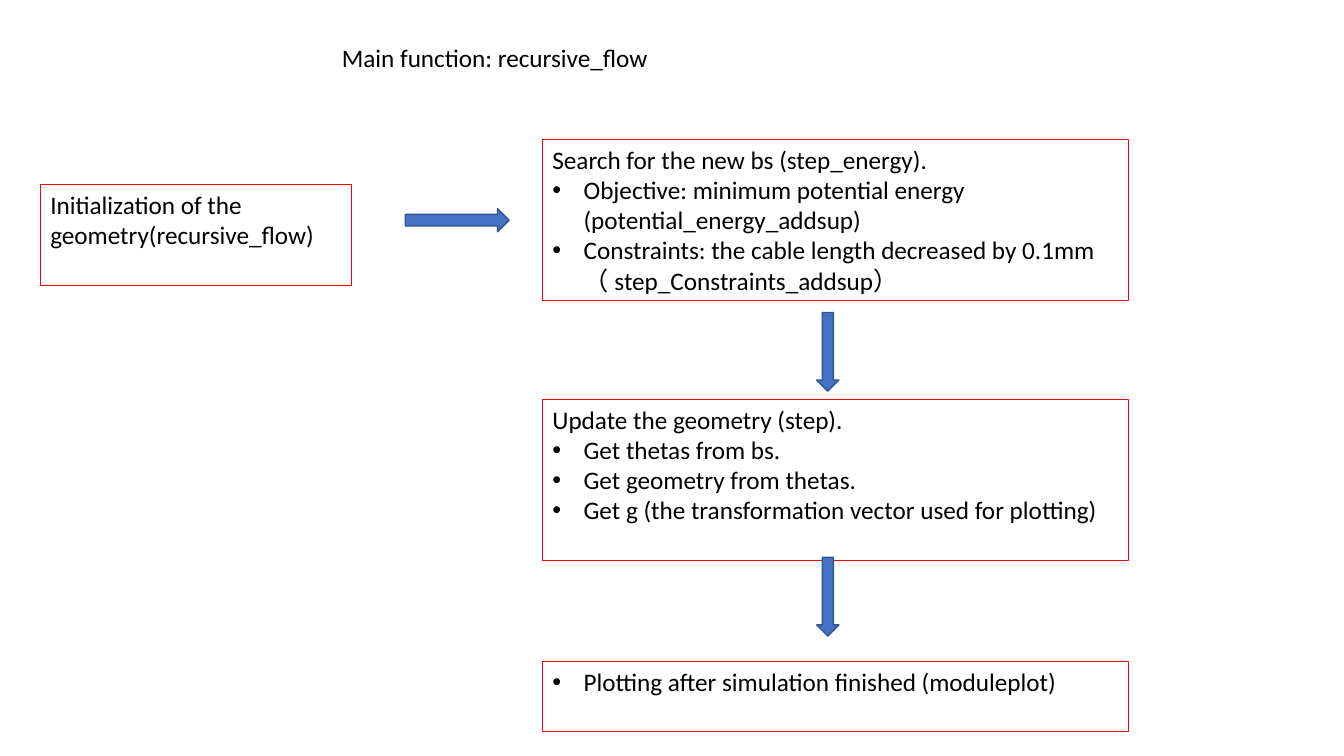
from lxml import etree
from pptx import Presentation, util as u
from pptx.dml.color import RGBColor
from pptx.enum import shapes, text
from pptx.oxml import ns

COLUMNS, ROWS = 133.3, 75
FLOW_LEFT, FLOW_WIDTH = 53.8, 58.1
DOWN_LEFT, DOWN_WIDTH, DOWN_HEIGHT = 81, 2.2, 7.8


def colour(code):
    return RGBColor.from_string(code)


def write(para, words, size=18, font="Calibri", ink="000000"):
    span = para.add_run()
    span.text = words
    span.font.size = u.Pt(size)
    span.font.name = font
    span.font.color.rgb = colour(ink)


class FlowPage:
    """Draw a flow chart on a slide with a grid of tenth-inch cells."""

    def __init__(self, deck, border="FF0000", arrow_fill="4472C4", arrow_line="325490"):
        self.cell = (deck.slide_width / COLUMNS, deck.slide_height / ROWS)
        self.border, self.arrow_fill, self.arrow_line = border, arrow_fill, arrow_line
        self.page = deck.slides.add_slide(deck.slide_layouts[5])

    def place(self, left, top, width, height):
        across, down = self.cell
        return [u.Emu(round(size * unit)) for size, unit in
                zip((left, top, width, height), (across, down, across, down))]

    def prepare(self, frame):
        frame.word_wrap = True
        frame.auto_size = text.MSO_AUTO_SIZE.NONE
        frame.vertical_anchor = text.MSO_ANCHOR.TOP

    def title(self, words, *area):
        box = self.page.shapes.title
        box.left, box.top, box.width, box.height = self.place(*area)
        self.prepare(box.text_frame)
        para = box.text_frame.paragraphs[0]
        para.alignment = text.PP_ALIGN.LEFT
        write(para, words)

    def bullet(self, para, indent=0.31):
        properties = para._p.get_or_add_pPr()
        properties.set("marL", str(u.Inches(indent)))
        properties.set("indent", str(-u.Inches(indent)))
        etree.SubElement(properties, ns.qn("a:buFont"), typeface="Arial")
        etree.SubElement(properties, ns.qn("a:buChar"), char="•")

    def step(self, area, heading=None, bullets=()):
        box = self.page.shapes.add_shape(shapes.MSO_SHAPE.RECTANGLE, *self.place(*area))
        box.shadow.inherit = False
        box.fill.background()
        box.line.color.rgb = colour(self.border)
        box.line.width = u.Pt(0)
        frame = box.text_frame
        self.prepare(frame)
        lines = ([(heading, False)] if heading else []) + [(item, True) for item in bullets]
        for index, (words, marked) in enumerate(lines):
            para = frame.add_paragraph() if index else frame.paragraphs[0]
            para.alignment = text.PP_ALIGN.LEFT
            if marked:
                self.bullet(para)
            write(para, words)

    def arrow(self, kind, *area):
        arrow = self.page.shapes.add_shape(kind, *self.place(*area))
        arrow.shadow.inherit = False
        arrow.fill.solid()
        arrow.fill.fore_color.rgb = colour(self.arrow_fill)
        arrow.line.color.rgb = colour(self.arrow_line)
        arrow.line.width = u.Pt(1)


def main():
    deck = Presentation()
    deck.slide_width, deck.slide_height = u.Inches(13.33), u.Inches(7.5)
    flow = FlowPage(deck)
    flow.title("Main function: recursive_flow", 32.9, 3.7, 76, 7)
    flow.step((4, 18.3, 30.9, 10), "Initialization of the geometry(recursive_flow)")
    flow.arrow(shapes.MSO_SHAPE.RIGHT_ARROW, 40.2, 20.7, 10.3, 2.3)
    for top, height, heading, bullets in (
        (13.8, 16, "Search for the new bs (step_energy).", (
            "Objective: minimum potential energy (potential_energy_addsup)",
            "Constraints: the cable length decreased by 0.1mm （ step_Constraints_addsup）")),
        (39.6, 16, "Update the geometry (step).", (
            "Get thetas from bs.",
            "Get geometry from thetas.",
            "Get g (the transformation vector used for plotting)")),
        (65.6, 7, None, ("Plotting after simulation finished (moduleplot)",)),
    ):
        flow.step((FLOW_LEFT, top, FLOW_WIDTH, height), heading, bullets)
    for top in (31, 55.3):
        flow.arrow(shapes.MSO_SHAPE.DOWN_ARROW, DOWN_LEFT, top, DOWN_WIDTH, DOWN_HEIGHT)
    deck.save("out.pptx")


if __name__ == "__main__":
    main()
